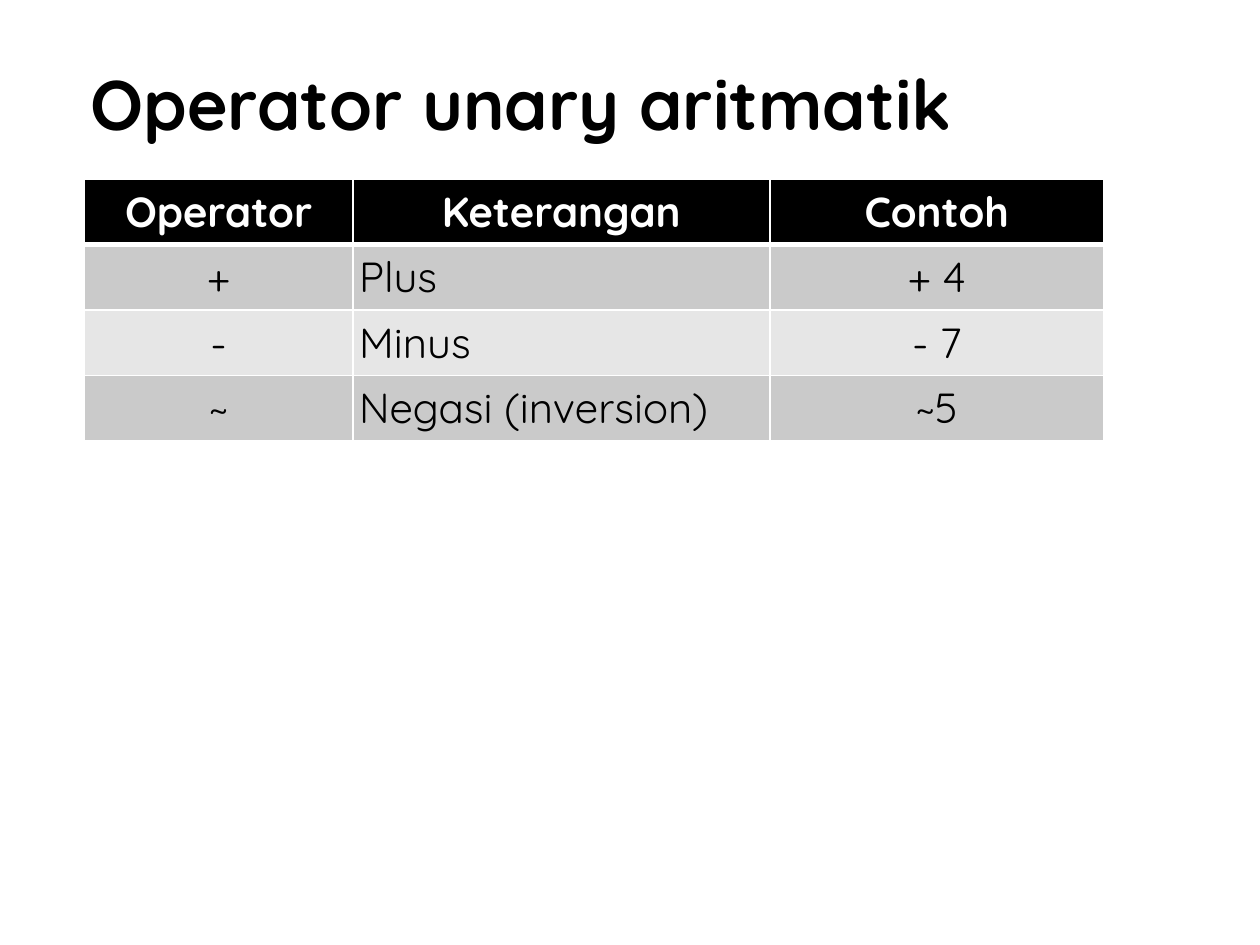
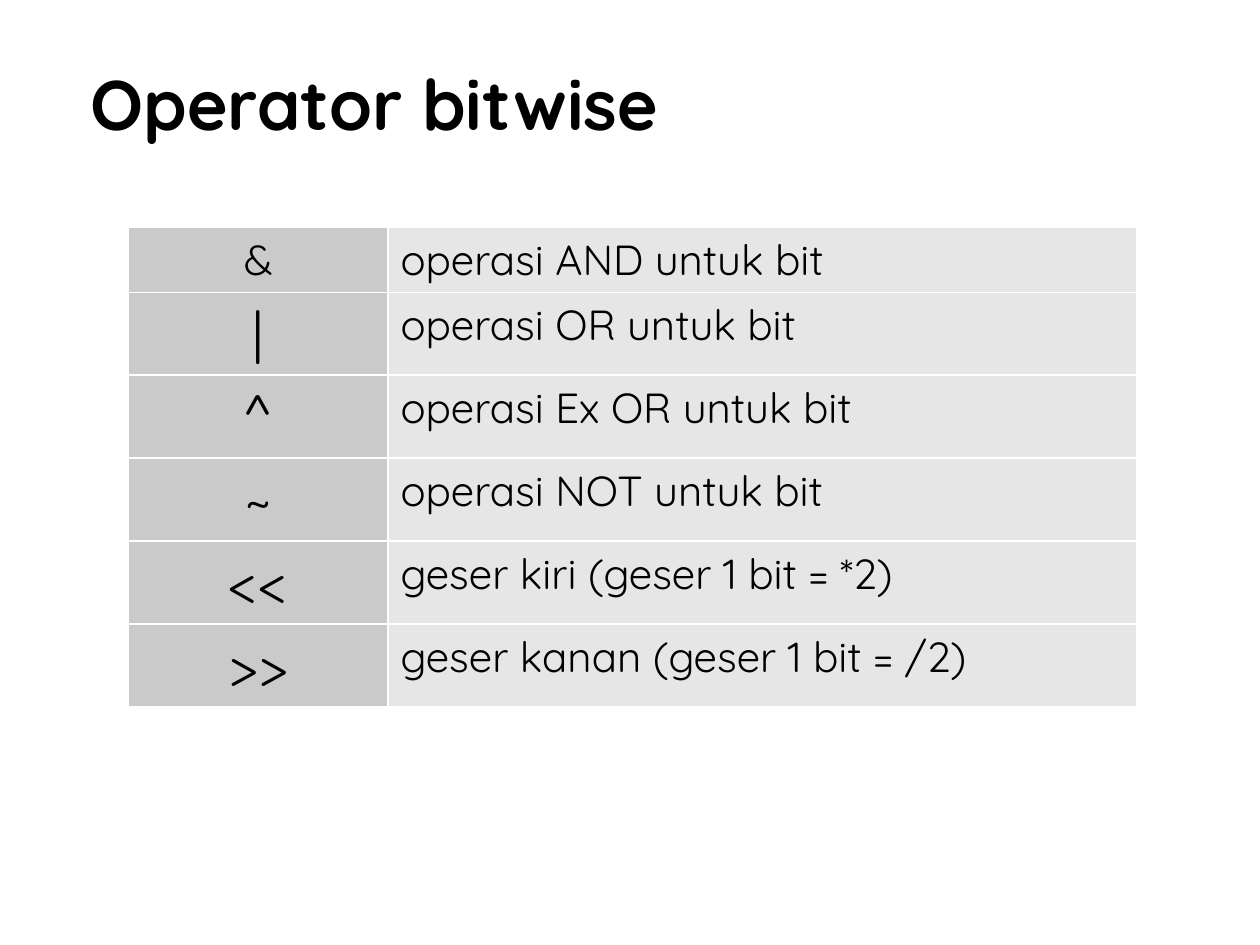
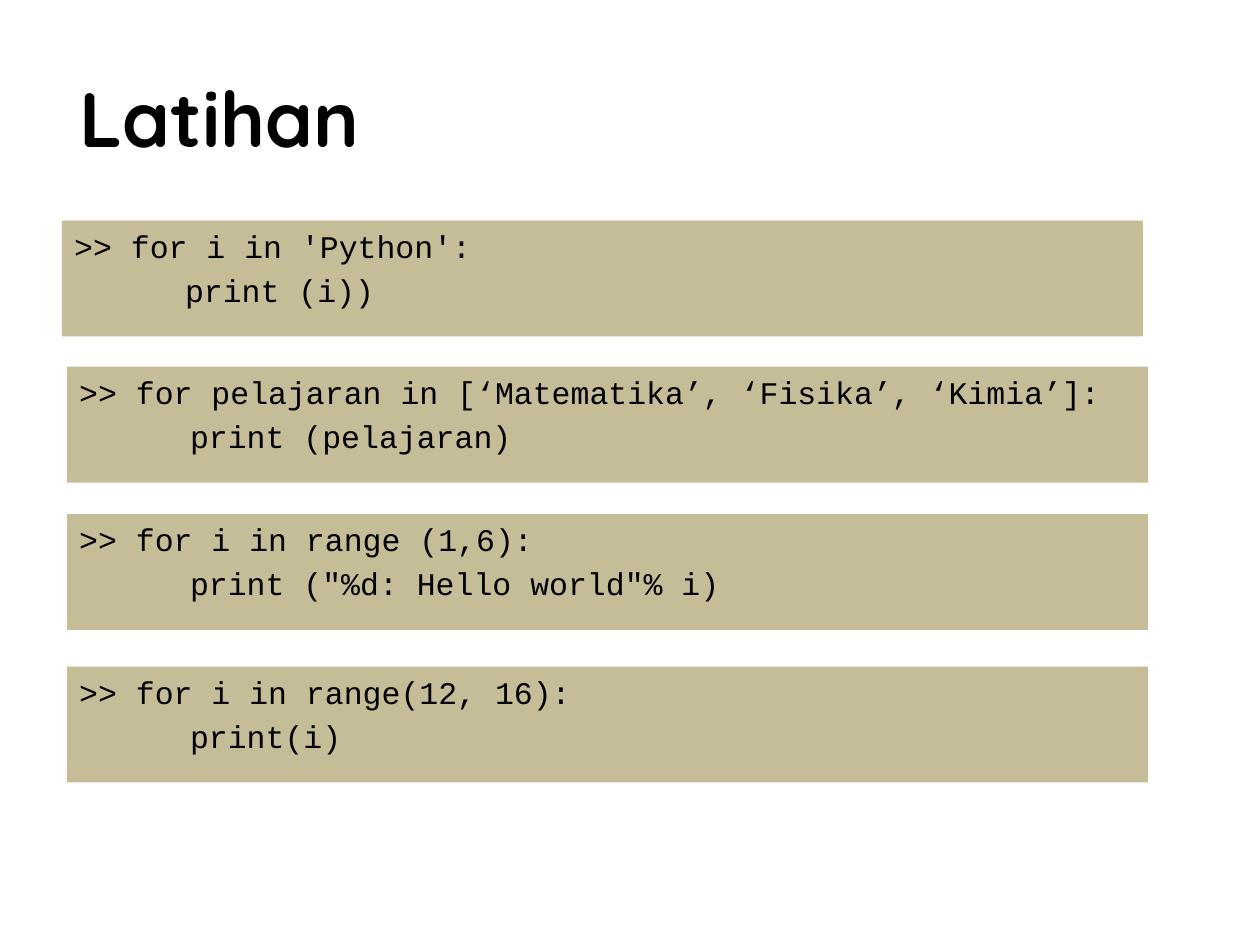
from typing import NamedTuple

from lxml.etree import SubElement
from pptx import Presentation
from pptx.dml.color import RGBColor
from pptx.enum.shapes import MSO_SHAPE
from pptx.enum.text import MSO_ANCHOR, MSO_AUTO_SIZE, PP_ALIGN
from pptx.oxml.ns import qn
from pptx.util import Inches, Pt

BLACK = RGBColor(0x00, 0x00, 0x00)
WHITE = RGBColor(0xFF, 0xFF, 0xFF)
DARK_GREY = RGBColor(0xCA, 0xCA, 0xCA)
LIGHT_GREY = RGBColor(0xE6, 0xE6, 0xE6)
SAND = RGBColor(0xC4, 0xBD, 0x97)

SLIDE_WIDTH = Inches(10)
SLIDE_HEIGHT = Inches(7.5)
GRID_COLUMNS = 100
TITLE_ONLY = 5

HEADING_FONT = {"name": "Quicksand", "size": Pt(40), "bold": True}
TABLE_FONT = {"name": "Quicksand", "size": Pt(24), "bold": False}
HEADER_FONT = TABLE_FONT | {"bold": True}
SYMBOL_FONT = TABLE_FONT | {"size": Pt(32)}
CODE_FONT = {"name": "Courier New", "size": Pt(18), "bold": False}


class Box(NamedTuple):
    """A rectangle in grid units, each one hundredth of the slide's width."""

    left: float
    top: float
    width: float
    height: float


TITLE_BOX = Box(6.2, 3, 88.8, 10.3)
UNARY_HEADER = ("Operator", "Keterangan", "Contoh")
UNARY_ROWS = (
    ("+", "Plus", "+ 4"),
    ("-", "Minus", "- 7"),
    ("~", "Negasi (inversion)", "~5"),
)
BITWISE_ROWS = (
    ("&", "operasi AND untuk bit"),
    ("|", "operasi OR untuk bit"),
    ("^", "operasi Ex OR untuk bit"),
    ("~", "operasi NOT untuk bit"),
    ("<<", "geser kiri (geser 1 bit = *2)"),
    (">>", "geser kanan (geser 1 bit = /2)"),
)
EXERCISES = (
    (4.9, 17.5, (">> for i in 'Python':", "\t\tprint (i))")),
    (5.3, 29.1, (">> for pelajaran in [‘Matematika’, ‘Fisika’, ‘Kimia’]:", "\t\tprint (pelajaran)")),
    (5.3, 40.8, (">> for i in range (1,6):", '\t\tprint ("%d: Hello world"% i)')),
    (5.3, 52.9, (">> for i in range(12, 16):", "\t\tprint(i)")),
)


def grid(units):
    """Turn grid units into a length."""
    return round(SLIDE_WIDTH * units / GRID_COLUMNS)


def set_attributes(target, values):
    """Set every attribute of the target from a dict."""
    for name, value in values.items():
        setattr(target, name, value)


def write_paragraph(paragraph, text, font, color=BLACK, alignment=PP_ALIGN.LEFT):
    """Fill a paragraph with one formatted run."""
    paragraph.alignment = alignment
    run = paragraph.add_run()
    run.text = text
    set_attributes(run.font, font)
    run.font.color.rgb = color


def add_titled_slide(presentation, title, box=TITLE_BOX, font=HEADING_FONT):
    """Add a title-only slide and place its title in the box."""
    slide = presentation.slides.add_slide(presentation.slide_layouts[TITLE_ONLY])
    heading = slide.shapes.title
    set_attributes(heading, {name: grid(value) for name, value in box._asdict().items()})
    frame = heading.text_frame
    set_attributes(frame, {
        "vertical_anchor": MSO_ANCHOR.MIDDLE,
        "word_wrap": True,
        "auto_size": MSO_AUTO_SIZE.NONE,
    })
    write_paragraph(frame.paragraphs[0], title, font)
    return slide


def add_grid_table(slide, left, top, columns, rows):
    """Add a plain table with the given column widths and row heights."""
    frame = slide.shapes.add_table(
        len(rows), len(columns), grid(left), grid(top), grid(sum(columns)), grid(sum(rows))
    )
    table = frame.table
    set_attributes(table, {"first_row": False, "horz_banding": False})
    for column, width in zip(table.columns, columns):
        column.width = grid(width)
    for row, height in zip(table.rows, rows):
        row.height = grid(height)
    return table


def set_borders(cell, widths):
    """Draw white borders with the given widths in points."""
    properties = cell._tc.get_or_add_tcPr()
    for side in ("lnL", "lnR", "lnT", "lnB"):
        line = SubElement(properties, qn(f"a:{side}"), w=str(Pt(widths.get(side, 1))))
        fill = SubElement(line, qn("a:solidFill"))
        SubElement(fill, qn("a:srgbClr"), val=str(WHITE))


def fill_cell(cell, text, font, fill, color=BLACK, centred=False, margin=0.1, borders=None):
    """Write and format one table cell."""
    set_borders(cell, borders or {})
    cell.fill.solid()
    cell.fill.fore_color.rgb = fill
    set_attributes(cell, {"margin_left": Inches(margin), "margin_right": Inches(margin)})
    alignment = PP_ALIGN.CENTER if centred else PP_ALIGN.LEFT
    write_paragraph(cell.text_frame.paragraphs[0], text, font, color, alignment)


def add_unary_table(slide, left, top):
    """Place the table of unary operators with its header row."""
    table = add_grid_table(slide, left, top, (21.3, 33.1, 26.5), (5.2,) * (len(UNARY_ROWS) + 1))
    for index, text in enumerate(UNARY_HEADER):
        fill_cell(table.cell(0, index), text, HEADER_FONT, BLACK, WHITE, True, 0.05, {"lnB": 3})
    for row, texts in enumerate(UNARY_ROWS, 1):
        fill = DARK_GREY if row % 2 else LIGHT_GREY
        borders = {"lnT": 3} if row == 1 else None
        for index, text in enumerate(texts):
            fill_cell(
                table.cell(row, index), text, TABLE_FONT, fill,
                centred=index != 1, margin=0.05, borders=borders,
            )


def add_bitwise_table(slide, left, top):
    """Place the table of bitwise operators, symbols beside meanings."""
    rows = (5.2,) + (6.58,) * (len(BITWISE_ROWS) - 1)
    table = add_grid_table(slide, left, top, (20.6, 59.4), rows)
    for row, (symbol, meaning) in enumerate(BITWISE_ROWS):
        symbol_font = SYMBOL_FONT if row else TABLE_FONT
        fill_cell(table.cell(row, 0), symbol, symbol_font, DARK_GREY, centred=True)
        fill_cell(table.cell(row, 1), meaning, TABLE_FONT, LIGHT_GREY)


def add_code_box(slide, box, lines):
    """Place a sand-coloured box of code with hanging indents."""
    shape = slide.shapes.add_shape(MSO_SHAPE.RECTANGLE, *map(grid, box))
    shape.shadow.inherit = False
    shape.fill.solid()
    shape.fill.fore_color.rgb = SAND
    shape.line.fill.background()
    frame = shape.text_frame
    set_attributes(frame, {"word_wrap": True, "vertical_anchor": MSO_ANCHOR.TOP})
    for index, line in enumerate(lines):
        paragraph = frame.add_paragraph() if index else frame.paragraphs[0]
        properties = paragraph._p.get_or_add_pPr()
        properties.set("marL", str(Inches(0.38)))
        properties.set("indent", str(Inches(-0.38)))
        if index:
            paragraph.space_before = Pt(3.6)
        write_paragraph(paragraph, line, CODE_FONT)


def main():
    """Build and save the three slides."""
    presentation = Presentation()
    set_attributes(presentation, {"slide_width": SLIDE_WIDTH, "slide_height": SLIDE_HEIGHT})
    add_unary_table(add_titled_slide(presentation, "Operator unary aritmatik"), 6.7, 14.2)
    add_bitwise_table(add_titled_slide(presentation, "Operator bitwise"), 10.2, 18)
    exercise_font = HEADING_FONT | {"size": Pt(44)}
    slide = add_titled_slide(presentation, "Latihan", Box(5.3, 3, 89.7, 12.5), exercise_font)
    for left, top, lines in EXERCISES:
        add_code_box(slide, Box(left, top, 85.8, 9.2), lines)
    presentation.save("out.pptx")


if __name__ == "__main__":
    main()
